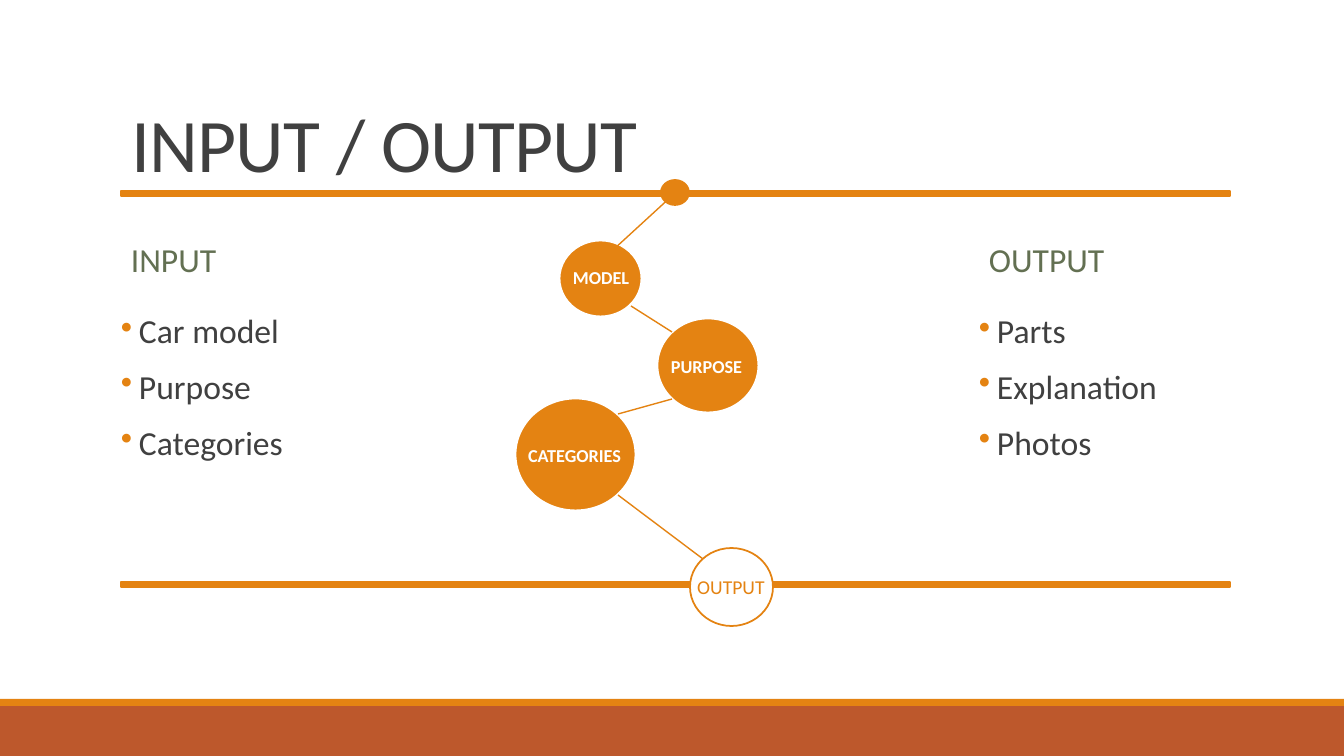
from dataclasses import dataclass

from lxml.etree import SubElement
from pptx import Presentation
from pptx.dml.color import RGBColor as Color
from pptx.enum.shapes import MSO_CONNECTOR as Connector, MSO_SHAPE as Shape
from pptx.enum.text import MSO_ANCHOR as Anchor, MSO_AUTO_SIZE as AutoSize, PP_ALIGN as Align
from pptx.oxml.ns import qn
from pptx.util import Pt

PIXEL = 12192000 / 1344


@dataclass(frozen=True)
class Theme:
    font: str = "Calibri"
    orange: Color = Color(0xE4, 0x83, 0x12)
    rust: Color = Color(0xBD, 0x58, 0x2C)
    green: Color = Color(0x63, 0x70, 0x52)
    ink: Color = Color(0x40, 0x40, 0x40)
    white: Color = Color(0xFF, 0xFF, 0xFF)
    title_size: int = 54
    body_size: int = 24
    step_size: int = 13
    output_size: int = 14


theme = Theme()


def px(*lengths):
    """Turn pixel lengths into a list of EMU lengths."""
    return [round(length * PIXEL) for length in lengths]


def write(box, lines, size, color, anchor=Anchor.TOP, align=Align.LEFT, bold=False):
    """Fill a text shape with lines in one style and return its paragraphs."""
    frame = box.text_frame
    frame.auto_size = AutoSize.NONE
    frame.word_wrap = align == Align.LEFT
    frame.vertical_anchor = anchor
    frame.text = "\n".join(lines)
    for paragraph in frame.paragraphs:
        paragraph.alignment = align
        font = paragraph.font
        font.name, font.size, font.bold = theme.font, Pt(size), bold
        font.color.rgb = color
    return frame.paragraphs


deck = Presentation()
deck.slide_width, deck.slide_height = px(1344, 756)
page = deck.slides.add_slide(deck.slide_layouts[5])
shapes = page.shapes

# Title
title = shapes.title
title.left, title.top, title.width, title.height = px(121, 33, 1109, 160)
heading, = write(title, ["INPUT / OUTPUT"], theme.title_size, theme.ink, Anchor.BOTTOM)
heading.line_spacing = 0.85
heading._p.pPr.find(qn("a:defRPr")).set("spc", "-50")

# Footer bands, rules and circles: kind, place, fill, line colour, line width
RULE = theme.orange, theme.orange, 1.25
STEP = theme.orange, theme.white, 2
for kind, place, fill, line, width in [
    (Shape.RECTANGLE, (0, 706, 1344, 50), theme.rust, None, 0),
    (Shape.RECTANGLE, (0, 699, 1344, 7), theme.orange, None, 0),
    (Shape.RECTANGLE, (121, 191, 1109, 5), *RULE),
    (Shape.RECTANGLE, (121, 582, 1109, 5), *RULE),
    (Shape.OVAL, (661, 180, 28, 25), *RULE),
    (Shape.OVAL, (559, 240, 83, 77), *STEP),
    (Shape.OVAL, (657, 318, 102, 95), *STEP),
    (Shape.OVAL, (515, 398, 121, 113), *STEP),
    (Shape.OVAL, (690, 548, 83, 78), theme.white, theme.orange, 1.25),
]:
    shape = shapes.add_shape(kind, *px(*place))
    shape.shadow.inherit = False
    shape.fill.solid()
    shape.fill.fore_color.rgb = fill
    if line is None:
        shape.line.fill.background()
    else:
        shape.line.color.rgb = line
        shape.line.width = Pt(width)

# Input and output columns
for left, width, name, items in [
    (121, 544, "INPUT", ["Car model", "Purpose", "Categories"]),
    (979, 365, "OUTPUT", ["Parts", "Explanation", "Photos"]),
]:
    header = shapes.add_textbox(*px(left, 221, width, 82))
    headers = write(header, [name], theme.body_size, theme.green, Anchor.MIDDLE)
    listing = shapes.add_textbox(*px(left, 310, width, 372))
    listing.text_frame.margin_left = listing.text_frame.margin_right = 0
    entries = write(listing, items, theme.body_size, theme.ink)
    for paragraph in headers + entries:
        paragraph.line_spacing = 0.9
        paragraph.space_before, paragraph.space_after = Pt(12), Pt(2)
    indent, = px(18)
    for paragraph in entries:
        settings = paragraph._p.pPr
        settings.set("marL", str(indent))
        settings.set("indent", str(-indent))
        bullet_color = SubElement(settings, qn("a:buClr"))
        SubElement(bullet_color, qn("a:srgbClr")).set("val", str(theme.orange))
        SubElement(settings, qn("a:buChar")).set("char", "•")
        settings.append(settings.find(qn("a:defRPr")))

# Circle labels
for place, label, size, color, bold in [
    ((562, 261, 78, 32), "MODEL", theme.step_size, theme.white, True),
    ((660, 350, 93, 32), "PURPOSE", theme.step_size, theme.white, True),
    ((517, 439, 115, 32), "CATEGORIES", theme.step_size, theme.white, True),
    ((686, 570, 90, 34), "OUTPUT", theme.output_size, theme.orange, False),
]:
    box = shapes.add_textbox(*px(*place))
    write(box, [label], size, color, align=Align.CENTER, bold=bold)

# Links between circles
for ends in [
    (685, 184, 601, 261),
    (631, 306, 672, 332),
    (618, 414, 672, 399),
    (618, 495, 703, 559),
]:
    link = shapes.add_connector(Connector.STRAIGHT, *px(*ends))
    link.line.color.rgb = theme.orange
    link.line.width = Pt(1)
    SubElement(link._element.spPr, qn("a:effectLst"))

deck.save("out.pptx")
